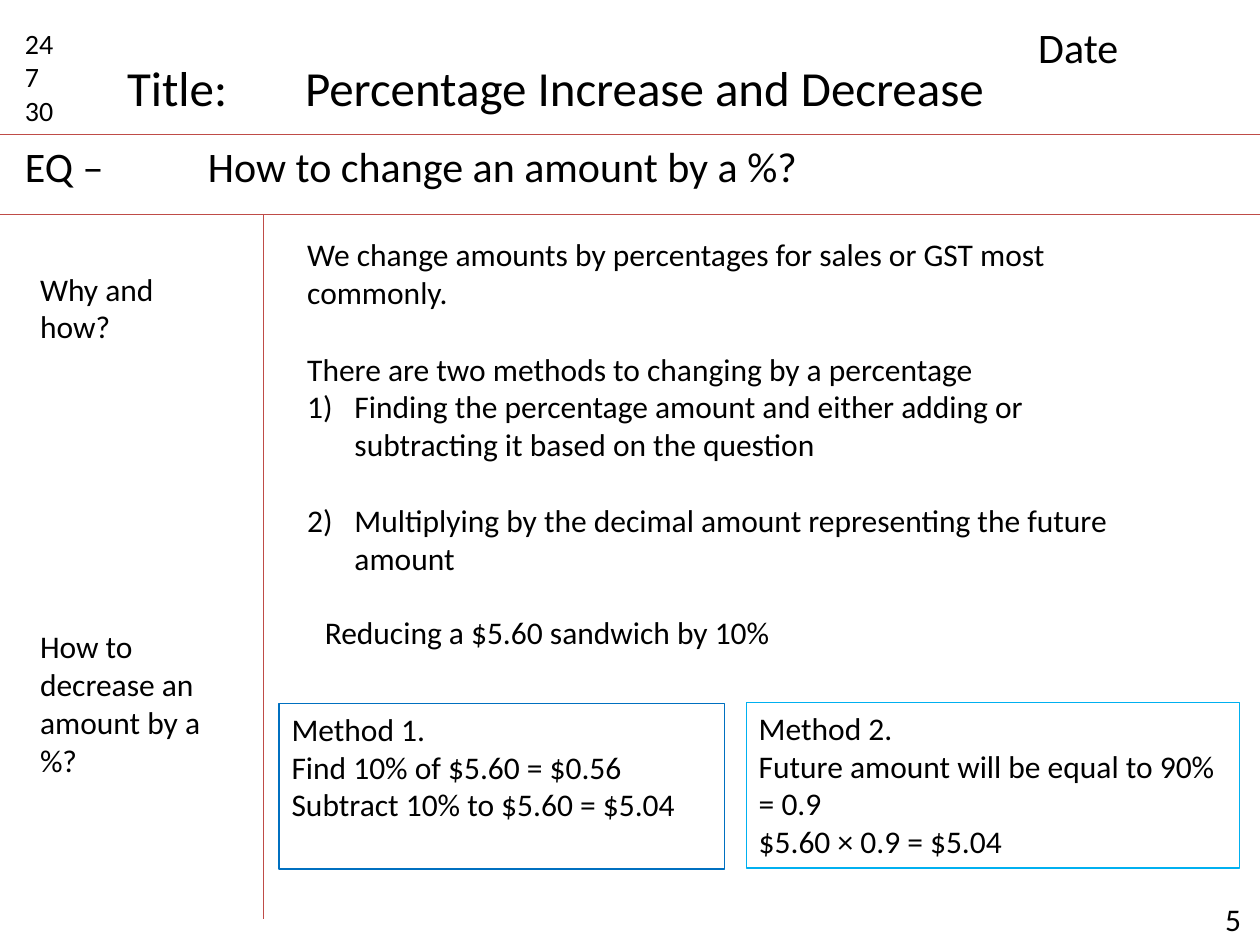
from lxml import etree
from pptx import Presentation
from pptx.dml.color import RGBColor
from pptx.enum.shapes import MSO_CONNECTOR, MSO_SHAPE
from pptx.enum.text import MSO_ANCHOR, PP_ALIGN
from pptx.oxml.ns import qn
from pptx.util import Pt

STRAIGHT = MSO_CONNECTOR.STRAIGHT
RECT = MSO_SHAPE.RECTANGLE
TOP = MSO_ANCHOR.TOP
LEFT = PP_ALIGN.LEFT

FONT = "Calibri"
BLACK = "000000"
RED = "BF4C48"
WIDE, HIGH = 720, 540
HEAD_Y, BODY_Y, SPLIT_X = 77, 122.4, 150.5
GAP = 22
HANG = 27


def color(code):
    return RGBColor.from_string(code)


def add_tab(para, pos):
    tabs = etree.SubElement(para._p.get_or_add_pPr(), qn("a:tabLst"))
    etree.SubElement(tabs, qn("a:tab"), pos=str(Pt(pos)), algn="l")


def add_number(para, start):
    props = para._p.get_or_add_pPr()
    props.set("marL", str(Pt(HANG)))
    props.set("indent", str(-Pt(HANG)))
    etree.SubElement(props, qn("a:buFont"), typeface="+mj-lt")
    etree.SubElement(props, qn("a:buAutoNum"), type="arabicParenR",
                     startAt=str(start))


def fill_text(frame, text, size=18, tab=None, gaps=(), steps=()):
    """Write one paragraph per line; gaps and steps hold line indices."""
    frame.word_wrap = True
    frame.vertical_anchor = TOP
    for i, line in enumerate(text.split("\n")):
        para = frame.paragraphs[0] if i == 0 else frame.add_paragraph()
        if i in steps:
            add_number(para, steps.index(i) + 1)
        if tab:
            add_tab(para, tab)
        if i in gaps:
            para.space_before = Pt(GAP)
        para.alignment = LEFT
        run = para.add_run()
        run.text = line
        run.font.name = FONT
        run.font.size = Pt(size)
        run.font.color.rgb = color(BLACK)


def add_text(slide, box, text, **form):
    shape = slide.shapes.add_textbox(*map(Pt, box))
    fill_text(shape.text_frame, text, **form)


def add_rule(slide, *ends):
    rule = slide.shapes.add_connector(STRAIGHT, *map(Pt, ends))
    rule.line.color.rgb = color(RED)
    rule.line.width = Pt(0.75)
    etree.SubElement(rule._element.spPr, qn("a:effectLst"))


def add_method(slide, box, edge, text):
    shape = slide.shapes.add_shape(RECT, *map(Pt, box))
    shape.shadow.inherit = False
    shape.fill.background()
    shape.line.color.rgb = color(edge)
    shape.line.width = Pt(0.75)
    fill_text(shape.text_frame, text)


def draw_rules(slide):
    for y in (HEAD_Y, BODY_Y):
        add_rule(slide, 0, y, WIDE, y)
    add_rule(slide, SPLIT_X, BODY_Y, SPLIT_X, 525)


def draw_head(slide, x, y):
    add_text(slide, (x, y, 45, 65.5), "24\n7\n30", size=16)
    add_text(slide, (x + 58.3, y + 18, 544, 41),
             "Title:\tPercentage Increase and Decrease", size=28, tab=101.7)
    add_text(slide, (x + 579, y - 3, 124.5, 36), "Date", size=24)
    add_text(slide, (x, HEAD_Y, 679, 36),
             "EQ –\tHow to change an amount by a %?", size=24, tab=104.6)


def draw_cues(slide, x, y):
    add_text(slide, (x, y, 114.5, 51), "Why and how?")
    add_text(slide, (x, y + 204.5, 126, 94.5),
             "How to decrease an amount by a %?")


def draw_notes(slide, x, y):
    add_text(slide, (x, y, 487.5, 204),
             "We change amounts by percentages for sales or GST most commonly.\n"
             "There are two methods to changing by a percentage\n"
             "Finding the percentage amount and either adding or subtracting "
             "it based on the question\n"
             "Multiplying by the decimal amount representing the future amount",
             gaps=(1, 3), steps=(2, 3))
    add_text(slide, (x + 10, y + 216, 317.5, 29),
             "Reducing a $5.60 sandwich by 10%")


def draw_methods(slide, x, y):
    add_method(slide, (x, y + 0.6, 254.4, 94.5), "0070C0",
               "Method 1.\nFind 10% of $5.60 = $0.56\n"
               "Subtract 10% to $5.60 = $5.04")
    add_method(slide, (x + 267, y, 282, 94.5), "00B0F0",
               "Method 2.\nFuture amount will be equal to 90% = 0.9\n"
               "$5.60 × 0.9 = $5.04")


def main():
    deck = Presentation()
    deck.slide_width, deck.slide_height = Pt(WIDE), Pt(HIGH)
    slide = deck.slides.add_slide(deck.slide_layouts[6])
    draw_rules(slide)
    draw_head(slide, 7.2, 11.5)
    draw_cues(slide, 15.8, 150.5)
    draw_notes(slide, 168.5, 131)
    draw_methods(slide, 159.5, 401.5)
    add_text(slide, (693, 511, 27, 29), "5")
    deck.save("out.pptx")


if __name__ == "__main__":
    main()
